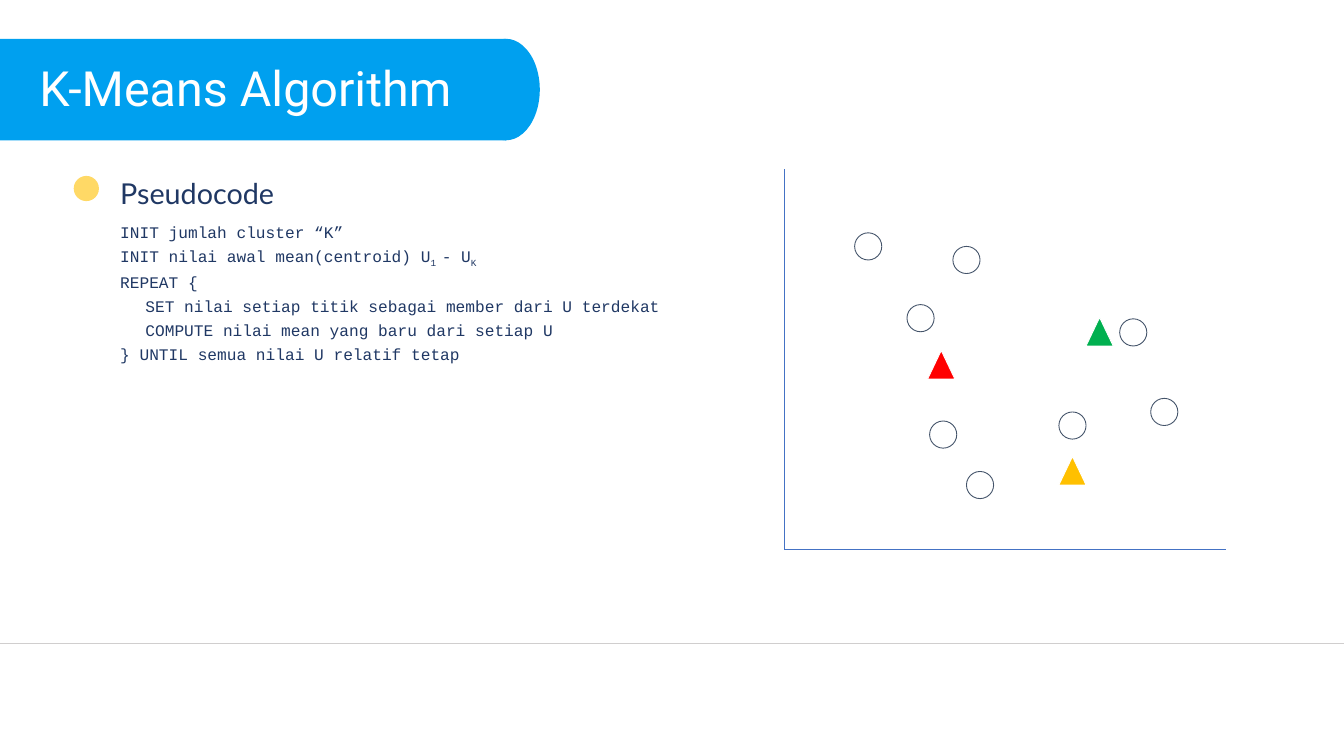
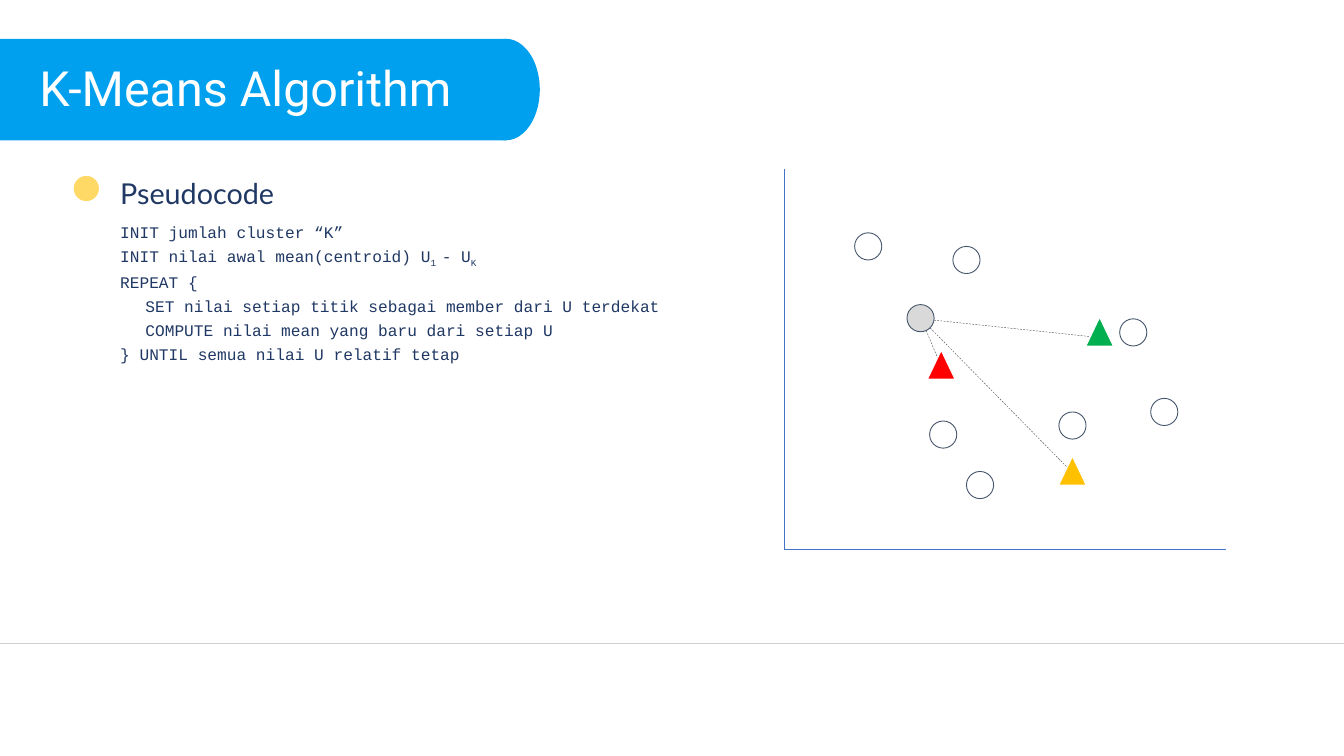
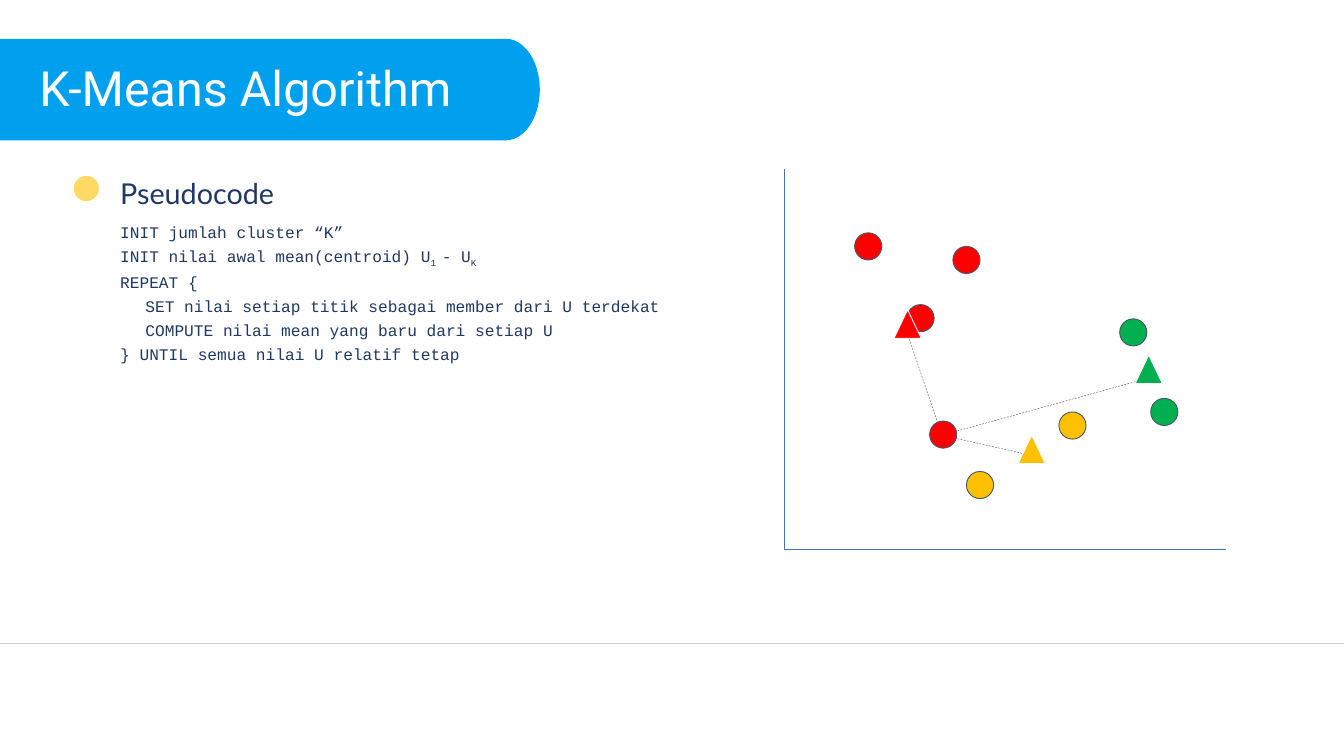
import pptx
import pptx.util
import pptx.dml.color
import pptx.enum.dml
import pptx.enum.shapes
import pptx.enum.text
from dataclasses import dataclass
from lxml import etree
from pptx.util import Inches


@dataclass(frozen=True)
class Theme:
    blue: str = "00A0EF"
    navy: str = "203864"
    slate: str = "44546A"
    axis: str = "4472C4"
    rule: str = "D0CECE"
    ray: str = "595959"
    bullet: str = "FFD966"
    white: str = "FFFFFF"
    gray: str = "D9D9D9"
    red: str = "FF0000"
    gold: str = "FFC000"
    green: str = "00B050"
    title: tuple = ("Roboto", 54)
    head: tuple = ("Lato", 32)
    code: tuple = ("Courier New", 18)
    thin: float = 0.5
    edge: float = 1


T = Theme()
WIDE, HIGH = 20.79, 11.69
DOT = 0.42
TALL = 0.44
BASE, LEAD = 0.01, 0.4

TITLE = "K-Means Algorithm"
HEAD = "Pseudocode"
CODE = [
    (BASE, ["INIT jumlah cluster “K”"]),
    (BASE, ["INIT nilai awal mean(centroid) U", "1 ", "- U", "K"]),
    (BASE, ["REPEAT {"]),
    (LEAD, ["SET nilai setiap titik sebagai member dari U terdekat"]),
    (LEAD, ["COMPUTE nilai mean yang baru dari setiap U"]),
    (BASE, ["} UNTIL semua nilai U relatif tetap"]),
]

DOTS = [
    (13.22, 3.6), (14.74, 3.81), (14.03, 4.71), (17.32, 4.93),
    (17.8, 6.16), (16.38, 6.37), (14.38, 6.51), (14.95, 7.29),
]
MEANS = [T.red, T.gold, T.green]
START = [(14.35, 5.42), (16.38, 7.06), (16.8, 4.91)]
MOVED = [(13.83, 4.79), (15.75, 6.73), (17.56, 5.49)]
BLANK = [T.white] * len(DOTS)
PICKED = [T.gray if i == 2 else T.white for i in range(len(DOTS))]
GROUPS = [T.red, T.red, T.red, T.green, T.green, T.gold, T.red, T.gold]

STEPS = [
    {"dots": BLANK, "means": START, "hub": None, "rays": []},
    {"dots": PICKED, "means": START, "hub": (14.25, 4.93),
     "rays": [(17.01, 5.22), (14.57, 5.69), (16.62, 7.34)]},
    {"dots": GROUPS, "means": MOVED, "hub": (14.57, 6.73),
     "rays": [(14.03, 5.14), (15.91, 7.03), (17.75, 5.85)]},
]

KIND = pptx.enum.shapes.MSO_SHAPE
RGB = pptx.dml.color.RGBColor.from_string


def shape(page, kind, box, fill, line=None):
    item = page.shapes.add_shape(kind, *map(Inches, box))
    item.shadow.inherit = False
    item.fill.solid()
    item.fill.fore_color.rgb = RGB(fill)
    if line:
        item.line.color.rgb = RGB(line)
        item.line.width = pptx.util.Pt(T.edge)
    else:
        item.line.fill.background()


def line(page, start, end, color, dash=False):
    item = page.shapes.add_connector(
        pptx.enum.shapes.MSO_CONNECTOR.STRAIGHT, *map(Inches, start + end))
    item.line.color.rgb = RGB(color)
    item.line.width = pptx.util.Pt(T.thin)
    if dash:
        item.line.dash_style = pptx.enum.dml.MSO_LINE.DASH
    etree.SubElement(item._element.spPr, pptx.oxml.ns.qn("a:effectLst"))


def text(page, box, rows, face, color, body=True):
    frame = page.shapes.add_textbox(*map(Inches, box)).text_frame
    frame.word_wrap = True
    frame.auto_size = pptx.enum.text.MSO_AUTO_SIZE.SHAPE_TO_FIT_TEXT
    frame.margin_left = frame.margin_right = frame.margin_bottom = 0
    frame.margin_top = Inches(0.01)
    for i, (indent, runs) in enumerate(rows):
        para = frame.add_paragraph() if i else frame.paragraphs[0]
        para.font.name = face[0]
        para.font.size = pptx.util.Pt(face[1])
        para.font.color.rgb = RGB(color)
        para.space_before = pptx.util.Pt(1)
        if body:
            para.alignment = pptx.enum.text.PP_ALIGN.JUSTIFY
            para.line_spacing = 1.18
        props = para._p.get_or_add_pPr()
        props.set("marL", str(Inches(indent)))
        props.set("indent", "0")
        for j, words in enumerate(runs):
            run = para.add_run()
            run.text = words
            if j % 2:
                run._r.get_or_add_rPr().set("baseline", "-25000")


def frame(page):
    shape(page, KIND.RECTANGLE, (0, 0.6, 7.83, 1.57), T.blue)
    shape(page, KIND.OVAL, (7.3, 0.6, 1.05, 1.57), T.blue)
    text(page, (0.6, 0.89, 7.75, 0.92), [(BASE, [TITLE])], T.title, T.white, False)
    text(page, (1.85, 2.62, 9.51, 0.6), [(BASE, [HEAD])], T.head, T.navy)
    shape(page, KIND.OVAL, (1.14, 2.72, 0.39, 0.39), T.bullet)
    line(page, (0, 9.94), (WIDE, 9.94), T.rule)
    text(page, (1.85, 3.37, 8.37, 2.21), CODE, T.code, T.navy)


def plot(page, step):
    zero = (12.13, 8.5)
    for end in [(12.13, 2.62), (18.97, 8.5)]:
        line(page, zero, end, T.axis)
    for end in step["rays"]:
        line(page, step["hub"], end, T.ray, True)
    for spot, fill in zip(DOTS, step["dots"]):
        shape(page, KIND.OVAL, spot + (DOT, DOT), fill, T.slate)
    for spot, fill in zip(step["means"], MEANS):
        shape(page, KIND.ISOSCELES_TRIANGLE, spot + (DOT, TALL), fill, T.white)


def main():
    deck = pptx.Presentation()
    deck.slide_width, deck.slide_height = Inches(WIDE), Inches(HIGH)
    for step in STEPS:
        page = deck.slides.add_slide(deck.slide_layouts[6])
        frame(page)
        plot(page, step)
    deck.save("out.pptx")


if __name__ == "__main__":
    main()
